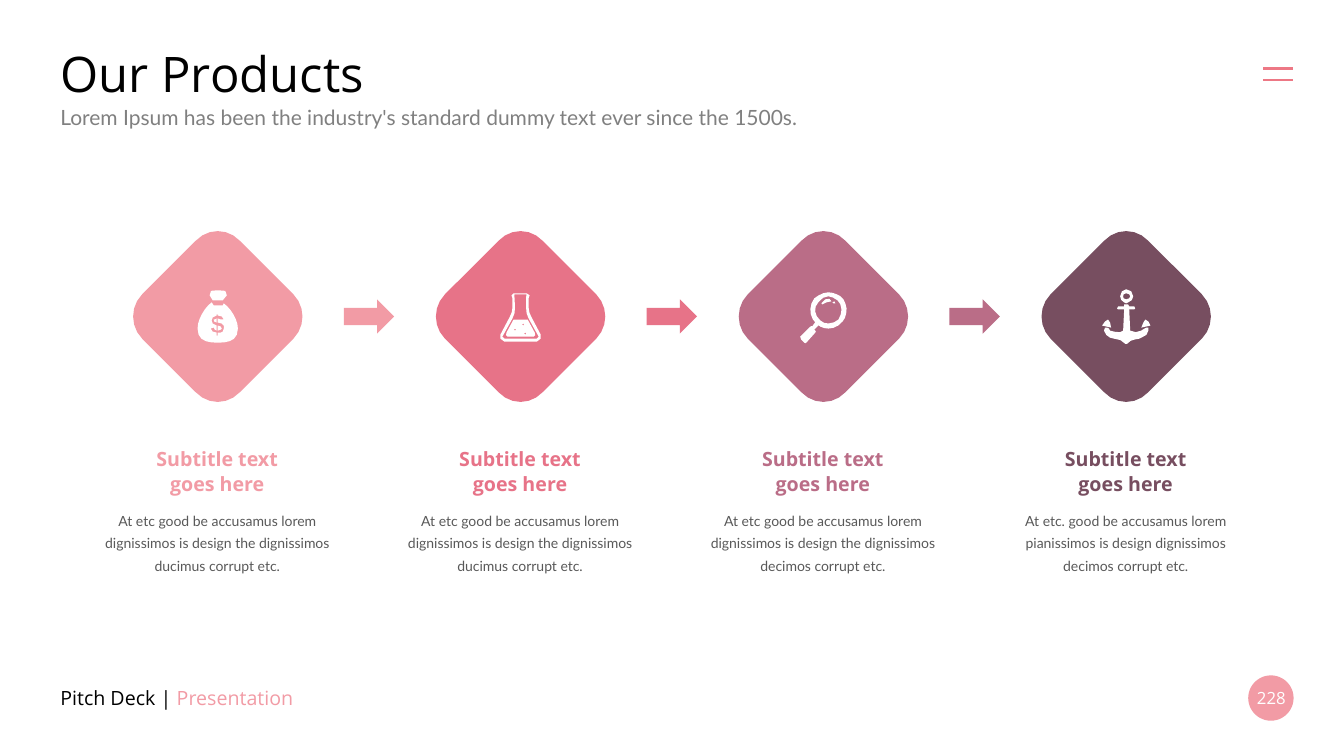
from dataclasses import dataclass
from math import dist

from lxml import etree
from pptx import Presentation
from pptx import util as u
from pptx.dml.color import RGBColor
from pptx.enum import shapes, text
from pptx.oxml.ns import qn

WHITE, BLACK, ROSE = "FFFFFF", "000000", "F29BA5"
HEADING_FONT, BODY_FONT = "Open Sans", "Lato"
FIRST_CENTRE, CENTRE_SPAN, CENTRE_Y = 2.16, 9.01, 3.14
CURVE_STEP, MAX_STEPS = 5, 6

DIAMOND = ("M -75 -22 L -22 -75 C -10 -88 10 -88 22 -75 L 75 -22 C 87 -10 87 10 75 22 "
           "L 22 75 C 10 88 -10 88 -22 75 L -75 22 C -87 10 -87 -10 -75 -22")
MONEY_BAG = (
    "M -4 3 L -3.5 5 L -1 6 L -1 2 L -3 3",
    "M 0 9 L 0 14 L 3 13 L 4 12 L 3 10",
    "M 5 -16 L 9 -21 C 12 -26 5 -26 0 -26 C -4 -26 -11 -26 -8 -21 L -5 -16",
    "M 5 15 L 3 16 L 0 16 L 0 19 L -1 19 L -1 16 L -5 15 L -7 12 L -4 11 L -3 13 L -1 14 "
    "L -1 9 L -5 7 L -6 4 L -5 1 L -1 -1 L -1 -2 L 0 -2 L 0 -1 L 4 0 L 6 3 "
    "L 3 3 L 0 2 L 0 6 L 4 7 L 6 9 L 6 12 "
    "M 6 -13 L 5 -11 L -4 -11 L -6 -14 C -13 -9 -20 3 -20 12 "
    "C -20 24 -11 26 0 26 C 11 26 20 24 20 12 C 20 3 13 -8 6 -13",
)
FLASK = (
    "M -6 -22 L -6 -19 L -5.5 -9 C -5.5 -5 -6 -1 -8 2 L -18 20 L -16 22 "
    "L 16 22 L 18 20 L 8 2 C 6 -1 5.5 -5 5.5 -9 L 5.5 -19 L 6 -22 "
    "M 16 25 L -16 25 L -20 22 L -20 18 L -11 1 C -9 -2 -8 -6 -8 -9 "
    "L -8 -18 L -9 -21 L -7 -23 L 6 -23 L 9 -21 L 8 -18 L 8 -9 C 8 -6 9 -2 11 1 "
    "L 20 18 L 20 22 L 16 25",
    "M 3.5 17 L 4.5 16 L 5.5 17 L 4.5 18 M 1.5 8 L 2.5 7 L 3.5 8 L 2.5 9 "
    "M -6.5 13 L -5.5 12 L -4.5 13 L -5.5 14 "
    "M 14 16 L 7 3 L -7 3 L -14 16 L -14.5 18.5 L -13 20 L 13 20 L 14.5 18.5",
)
MAGNIFIER = (
    "M 5 -20 C 1 -20 -2 -18 -5 -14 C -10 -9 -9 -1 -3 4 C -1 6 2 7 5 7 C 9 7 13 5 15 3 "
    "C 17 0 18 -4 18 -7 C 18 -11 16 -14 14 -16 C 11 -18 8 -20 5 -20 "
    "M 5 12 C 1 12 -3 11 -7 7 C -14 1 -15 -10 -9 -18 C -5 -21 0 -24 5 -24 C 9 -24 14 -22 17 -20 "
    "C 21 -17 22 -13 23 -8 C 23 -3 22 2 19 5 C 15 10 10 12 5 12",
    "M -9 13 L -12 11 L -7 4 L -3 7",
    "M -16 25 L -17.5 26.5 L -19 26 L -22 23 L -23 20 L -14 11 L -12 9.5 L -10 10 "
    "L -9 13 L -7.5 14.5 L -8 16",
    "M 8 -15 L 3 -14 L -1 -12 L -2 -13 L 2 -17 L 6 -17.5",
    "M 12 -13 L 10 -13 L 9 -14 L 11 -15",
)
ANCHOR = (
    "M 0 -17 L -2.5 -18 L -3 -20 L -2.5 -22 L 0 -23 L 3 -22 L 4 -20 L 3 -18 "
    "M 7 -20 C 7 -24 4 -27 0 -27 C -3 -27 -6 -24 -6 -20 C -6 -17 -4 -15 -2 -14 L 0 -13 L 2 -14 "
    "C 5 -15 7 -17 7 -20",
    "M -18 3 L -21 5 L -24 9 L -15 11 L -16 6",
    "M 24 9 L 22 5 L 19 3 L 17 6 L 15 11",
    "M 22 14 L 22 11 L 20 11 L 18 12 L 15 14 C 14 15 5 17 4 14 L 3 -7 L 8 -7 "
    "L 9 -8 L 8 -10 L 3 -10 L 2 -12 L -2 -12 L -2 -10 L -8 -10 L -9 -8 L -8 -7 L -2 -7 L -3 14 "
    "C -4 17 -13 15 -16 14 L -17 12 L -19 11 L -21 11 L -22 14 C -22 17 -18 20 -16 21 "
    "L -12 22 C -8 23 -3 23 -1 27 L 1 27 C 4 23 8 23 13 22 L 15 21 C 19 20 22 17 22 14",
)


@dataclass(frozen=True)
class Product:
    color: str
    icon: tuple[str, ...]
    description: str


@dataclass(frozen=True)
class Style:
    font: str
    size: float
    color: str
    bold: bool = False
    align: text.PP_ALIGN = text.PP_ALIGN.LEFT
    anchor: text.MSO_ANCHOR = text.MSO_ANCHOR.TOP
    line_pt: float | None = None


PRODUCTS = (
    Product(ROSE, MONEY_BAG,
            "At etc good be accusamus lorem dignissimos is design the dignissimos ducimus corrupt etc."),
    Product("E77388", FLASK,
            "At etc good be accusamus lorem dignissimos is design the dignissimos ducimus corrupt etc."),
    Product("BA6D87", MAGNIFIER,
            "At etc good be accusamus lorem dignissimos is design the dignissimos decimos corrupt etc."),
    Product("774E60", ANCHOR,
            "At etc. good be accusamus lorem pianissimos is design dignissimos decimos corrupt etc."),
)


def rgb(color: str) -> RGBColor:
    return RGBColor.from_string(color)


def paint(shape, color: str) -> None:
    shape.shadow.inherit = False
    shape.fill.solid()
    shape.fill.fore_color.rgb = rgb(color)
    shape.line.fill.background()


def write(box, words: str, style: Style) -> None:
    frame = box.text_frame
    frame.text = words
    frame.word_wrap = True
    frame.auto_size = text.MSO_AUTO_SIZE.NONE
    frame.vertical_anchor = style.anchor
    for paragraph in frame.paragraphs:
        paragraph.alignment = style.align
        if style.line_pt:
            paragraph.line_spacing = u.Pt(style.line_pt)
        for run in paragraph.runs:
            run.font.name, run.font.size, run.font.bold = style.font, u.Pt(style.size), style.bold
            run.font.color.rgb = rgb(style.color)


def add_text(slide, left: float, top: float, width: float, height: float, words: str, style: Style):
    box = slide.shapes.add_textbox(*map(u.Inches, (left, top, width, height)))
    write(box, words, style)
    return box


def contour_points(contour: str) -> list[tuple[float, float]]:
    start, *steps = contour.replace("L", "|L").replace("C", "|C").split("|")
    x, y = map(float, start.split())
    points = [(x, y)]
    for step in steps:
        values = list(map(float, step[1:].split()))
        if step[0] == "L":
            points.append((values[0], values[1]))
            continue
        controls = [points[-1], *zip(values[::2], values[1::2])]
        count = max(2, min(MAX_STEPS, round(dist(controls[0], controls[-1]) / CURVE_STEP)))
        for n in range(1, count + 1):
            t = n / count
            weights = ((1 - t) ** 3, 3 * t * (1 - t) ** 2, 3 * t * t * (1 - t), t ** 3)
            points.append((sum(w * p[0] for w, p in zip(weights, controls)),
                           sum(w * p[1] for w, p in zip(weights, controls))))
    return points


def add_outline(parent, outline: str, centre: float, color: str) -> None:
    builder = None
    for contour in outline.split("M")[1:]:
        points = [(u.Inches(centre + x / 100), u.Inches(CENTRE_Y + y / 100))
                  for x, y in contour_points(contour)]
        if builder is None:
            builder = parent.build_freeform(*points[0])
        else:
            builder.move_to(*points[0])
        builder.add_line_segments(points[1:], close=True)
    paint(builder.convert_to_shape(), color)


def add_product(slide, product: Product, centre: float) -> None:
    add_outline(slide.shapes, DIAMOND, centre, product.color)
    icon = slide.shapes.add_group_shape()
    for outline in product.icon:
        add_outline(icon.shapes, outline, centre, WHITE)
    middle = text.PP_ALIGN.CENTER
    add_text(slide, centre - 1.24, 4.37, 2.47, 0.59, "Subtitle text\ngoes here",
             Style(HEADING_FONT, 14, product.color, bold=True, align=middle, line_pt=18))
    add_text(slide, centre - 1.24, 4.98, 2.47, 0.75, product.description,
             Style(BODY_FONT, 10, "595959", align=middle, line_pt=16))


def add_menu_icon(slide) -> None:
    menu = slide.shapes.add_group_shape()
    for y in (0.68, 0.79):
        bar = menu.shapes.add_connector(shapes.MSO_CONNECTOR.STRAIGHT,
                                        *map(u.Inches, (12.53, y, 12.82, y)))
        bar.line.color.rgb = rgb("ED7885")
        bar.line.width = u.Pt(1.5)
        etree.SubElement(bar._element.spPr, qn("a:effectLst"))


def main() -> None:
    deck = Presentation()
    deck.slide_width, deck.slide_height = u.Inches(13.33), u.Inches(7.5)
    slide = deck.slides.add_slide(deck.slide_layouts[5])
    centred = text.MSO_ANCHOR.MIDDLE

    title = slide.shapes.title
    title.left, title.top, title.width, title.height = map(u.Inches, (0.5, 0.39, 12.33, 0.66))
    write(title, "Our Products", Style(HEADING_FONT, 35, BLACK, anchor=centred))
    add_text(slide, 0.5, 0.99, 12.33, 0.35,
             "Lorem Ipsum has been the industry's standard dummy text ever since the 1500s.",
             Style(BODY_FONT, 15, "808080"))
    add_menu_icon(slide)

    pitch = CENTRE_SPAN / (len(PRODUCTS) - 1)
    for index, product in enumerate(PRODUCTS):
        centre = FIRST_CENTRE + index * pitch
        add_product(slide, product, centre)
        if index < len(PRODUCTS) - 1:
            arrow = slide.shapes.add_shape(shapes.MSO_SHAPE.RIGHT_ARROW,
                                           *map(u.Inches, (centre + 1.25, 2.97, 0.5, 0.34)))
            paint(arrow, product.color)

    footer = add_text(slide, 0.5, 6.72, 3.29, 0.4, "Pitch Deck | ",
                      Style(HEADING_FONT, 14, BLACK, anchor=centred))
    label = footer.text_frame.paragraphs[0].add_run()
    label.text = "Presentation"
    label.font.name, label.font.size = HEADING_FONT, u.Pt(14)
    label.font.color.rgb = rgb(ROSE)
    badge = slide.shapes.add_shape(shapes.MSO_SHAPE.OVAL, *map(u.Inches, (12.38, 6.7, 0.45, 0.45)))
    paint(badge, ROSE)
    add_text(slide, 12.34, 6.81, 0.54, 0.22, "228",
             Style(HEADING_FONT, 12, WHITE, align=text.PP_ALIGN.CENTER, anchor=centred))
    deck.save("out.pptx")


if __name__ == "__main__":
    main()
